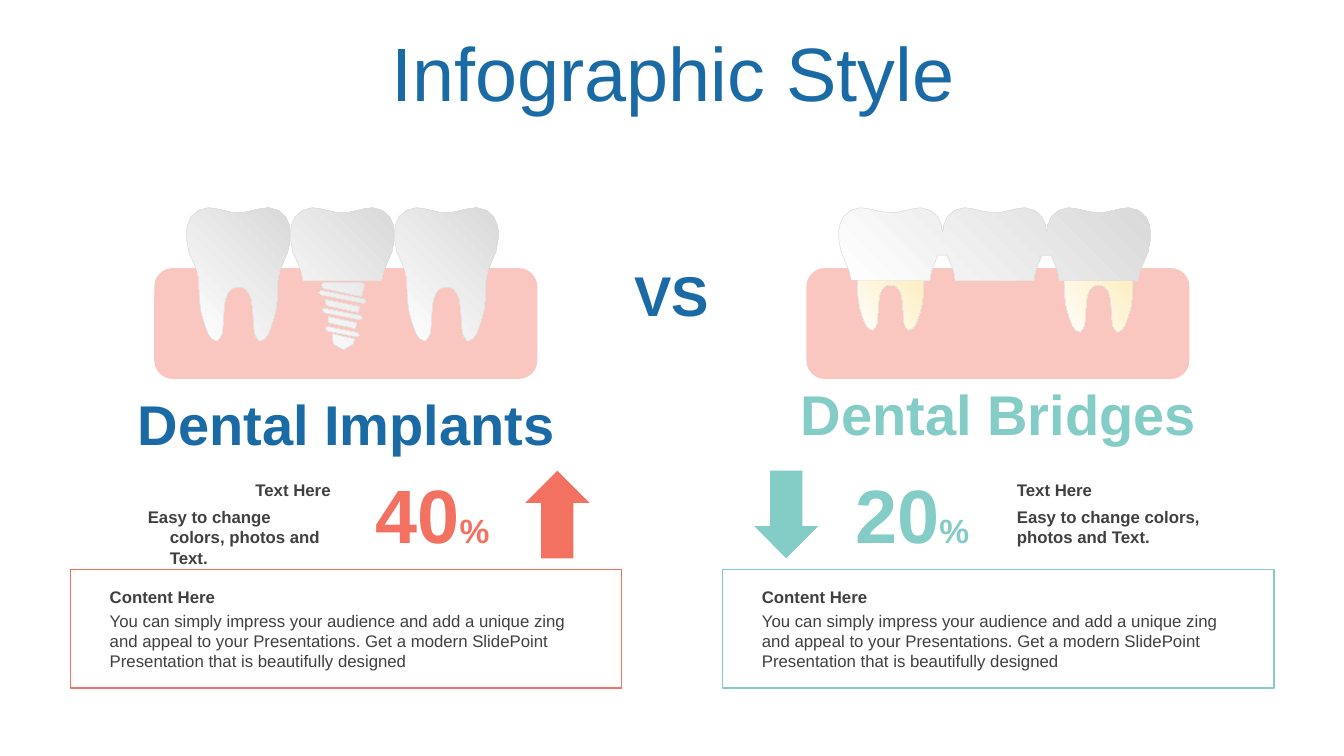
from dataclasses import dataclass

from lxml.etree import SubElement
from pptx import Presentation
from pptx.dml.color import RGBColor
from pptx.enum.shapes import MSO_SHAPE
from pptx.enum.text import MSO_ANCHOR, MSO_AUTO_SIZE, PP_ALIGN
from pptx.oxml.ns import qn
from pptx.util import Pt


@dataclass(frozen=True)
class Theme:
    font: str = "Arial"
    blue: str = "1A6BA5"
    coral: str = "F27161"
    teal: str = "84CCC6"
    ink: str = "404040"
    gum: str = "FAC6C0"
    white: str = "FFFFFF"
    enamel: str = "D9D9D9"
    dentine: str = "FBE59E"
    display: int = 54
    heading: int = 40
    unit: int = 24
    body: int = 12


THEME = Theme()
PANEL_OFFSET = 465.84
TOOTH_TOP = 148.4
TOOTH_CENTRES = [170.3 + 74.3 * n for n in range(3)]

# Right half of a tooth, from the top of its axis: cubic curves (x from axis, y from top)
CROWN_START = (0, 3.6)
ARCH = [
    ((3.6, 3.6), (6.5, 2.9), (9.4, 2.2)),
    ((13.7, 1.4), (17.3, 0), (21.6, 0)),
    ((26.6, 0.7), (31, 2.2), (33.8, 6.5)),
    ((36, 10.1), (36.7, 13.7), (37.1, 17.3)),
]
FLANK = [
    ((37.3, 21.6), (36.7, 25.2), (35.3, 31.7)),
    ((33.8, 36), (31, 40.3), (29.5, 45.4)),
]
ROOT = [
    ((28.1, 49.7), (28.1, 54), (28.1, 59)),
    ((28.1, 64.1), (27.4, 69.8), (26.6, 74.9)),
    ((25.2, 79.9), (23.8, 85), (21.6, 90)),
    ((20.2, 92.2), (18.7, 95.4), (15.1, 95.4)),
    ((13.7, 95.4), (12.2, 90.7), (11.5, 90)),
    ((10.8, 85.7), (10.8, 82.1), (10.6, 78.5)),
    ((10.1, 74.2), (10.1, 69.8), (9.4, 66.2)),
    ((8.6, 62.6), (7.2, 59.8), (4.3, 57.6)),
    ((2.9, 56.9), (1.4, 56.9), (0, 56.9)),
]
CROWN_FOOT = (28.1, 51.8)

# Implant screw: solid pieces, and threads as (half length, centre y)
SCREW_PIECES = [
    [(-13.7, 53.3), (14.4, 53.3), (15.8, 55), (13.7, 63.4), (-13.7, 57.6), (-15, 55)],
    [(-12.2, 65.5), (12.2, 70.6), (11.5, 74.9), (-11.5, 69.8)],
    [(-10.1, 77.8), (10.1, 82.1), (9.4, 86.4), (-10.1, 82.1)],
    [(-7.2, 90), (8.6, 93.6), (7.9, 97.2), (0.7, 101.5), (-6.5, 97.2)],
]
SCREW_THREADS = [(16.9, 63.7), (14.4, 76), (12.2, 88.6)]


def flatten(start, curves, steps=2):
    points = [start]
    for a, b, end in curves:
        origin = points[-1]
        for t in (n / steps for n in range(1, steps + 1)):
            weights = ((1 - t) ** 3, 3 * t * (1 - t) ** 2, 3 * t * t * (1 - t), t ** 3)
            points.append(tuple(sum(w * p[axis] for w, p in zip(weights, (origin, a, b, end)))
                                for axis in (0, 1)))
    return points


def mirror(half):
    return [(-x, y) for x, y in reversed(half) if x] + half


def thread(half_length, centre, slope=0.2, thickness=1.6, rounding=1.5):
    inner = half_length - rounding
    outline = [(-half_length, 0), (-inner, -thickness), (inner, -thickness),
               (half_length, 0), (inner, thickness), (-inner, thickness)]
    return [(x, centre + slope * x + rise) for x, rise in outline]


def bridge_outline():
    pitch = TOOTH_CENTRES[1] - TOOTH_CENTRES[0]
    arch = mirror(flatten(CROWN_START, ARCH))
    top = [(x + n * pitch, y) for n in (-1, 0, 1) for x, y in arch]
    flank = flatten(ARCH[-1][-1], FLANK)[1:] + [CROWN_FOOT]
    gap = [CROWN_FOOT, (29.2, 45.4), (33.8, 33.8)]
    gaps = [point for n in (1, 0)
            for point in [(n * pitch - x, y) for x, y in gap]
            + [((n - 1) * pitch + x, y) for x, y in reversed(gap)]]
    right = [(pitch + x, y) for x, y in flank]
    left = [(-pitch - x, y) for x, y in reversed(flank)]
    return top + right + gaps + left


class Board:
    def __init__(self, slide, theme):
        self.shapes, self.theme = slide.shapes, theme

    def text(self, box, runs, align=PP_ALIGN.LEFT, anchor=MSO_ANCHOR.TOP,
             grow=True, outline=None, hanging=None, spacing=None):
        """Each run is (wording, size, colour, bold)."""
        frame = self.shapes.add_textbox(*map(Pt, box)).text_frame
        settings = {"word_wrap": True, "vertical_anchor": anchor,
                    "auto_size": MSO_AUTO_SIZE.SHAPE_TO_FIT_TEXT if grow else MSO_AUTO_SIZE.NONE}
        for name, value in settings.items():
            setattr(frame, name, value)
        paragraph = frame.paragraphs[0]
        paragraph.alignment, paragraph.line_spacing = align, spacing
        if hanging:
            margin, first_line = hanging
            properties = paragraph._p.get_or_add_pPr()
            properties.set("marL", str(Pt(margin)))
            properties.set("indent", str(Pt(first_line)))
        for wording, size, colour, bold in runs:
            run = paragraph.add_run()
            run.text = wording
            for name, value in {"name": self.theme.font, "size": Pt(size), "bold": bold}.items():
                setattr(run.font, name, value)
            run.font.color.rgb = RGBColor.from_string(colour)
            if outline:
                properties = run._r.get_or_add_rPr()
                line = SubElement(properties, qn("a:ln"), w=str(Pt(1)))
                SubElement(SubElement(line, qn("a:solidFill")), qn("a:srgbClr"), val=outline)
                properties.insert(0, line)

    def preset(self, kind, box, fill=None, line=None, rotation=0):
        shape = self.shapes.add_shape(kind, *map(Pt, box))
        shape.shadow.inherit = False
        shape.rotation = rotation
        for part, colour in ((shape.fill, fill), (shape.line.fill, line)):
            if colour:
                part.solid()
                part.fore_color.rgb = RGBColor.from_string(colour)
            else:
                part.background()
        if line:
            shape.line.width = Pt(1)

    def dental(self, contours, centre, top=TOOTH_TOP, scale=1, tint=None):
        builder = None
        for contour in contours:
            points = [(Pt(centre + x * scale), Pt(top + y * scale)) for x, y in contour]
            if builder:
                builder.move_to(*points[0])
            else:
                builder = self.shapes.build_freeform(*points[0], scale=1.0)
            builder.add_line_segments(points[1:], close=True)
        shape = builder.convert_to_shape()
        shape.shadow.inherit = False
        shape.fill.gradient()
        shape.fill.gradient_angle = 45
        for stop, colour in zip(shape.fill.gradient_stops, (self.theme.white, tint or self.theme.enamel)):
            stop.color.rgb = RGBColor.from_string(colour)
        shape.line.color.rgb = RGBColor.from_string(self.theme.enamel)
        shape.line.width = Pt(0.32)

    def panel(self, offset, heading, heading_top, heading_colour, accent, percent,
              percent_left, arrow_left, rotation, note_left, note_width, note_align, hanging):
        t = self.theme
        # Percentage and arrow
        self.text((percent_left, 330.5, 102.2, 72.7),
                  [(percent, t.display, accent, True), ("%", t.unit, accent, True)],
                  PP_ALIGN.CENTER, outline=t.white)
        self.preset(MSO_SHAPE.DOWN_ARROW, (arrow_left, 336.2, 46, 62.6), accent, rotation=rotation)
        # Note beside the percentage
        self.text((note_left, 339.1, note_width, 21.8), [("Text Here", t.body, t.ink, True)],
                  note_align, MSO_ANCHOR.MIDDLE)
        self.text((note_left, 358.6, note_width, 36.3),
                  [("Easy to change colors, photos and Text.", t.body, t.ink, True)], hanging=hanging)
        # Framed content
        self.preset(MSO_SHAPE.RECTANGLE, (50.2 + offset, 406.6, 393.9, 84.8), line=accent)
        self.text((71.3 + offset, 432.7, 351.4, 50.9),
                  [("You can simply impress your audience and add a unique zing and appeal to your "
                    "Presentations. Get a modern SlidePoint Presentation that is beautifully designed",
                    t.body, t.ink, False)])
        self.text((71.3 + offset, 415.4, 351.4, 21.8), [("Content Here", t.body, t.ink, True)])
        self.text((65.5 + offset, heading_top, 363.6, 55.7),
                  [(heading, t.heading, heading_colour, True)], PP_ALIGN.CENTER, MSO_ANCHOR.MIDDLE)


def main():
    deck = Presentation()
    deck.slide_width, deck.slide_height = Pt(960), Pt(540)
    board = Board(deck.slides.add_slide(deck.slide_layouts[6]), THEME)

    # Title
    board.text((25.2, 26.6, 911.5, 56.9), [("Infographic Style", THEME.display, THEME.blue, False)],
               PP_ALIGN.CENTER, MSO_ANCHOR.MIDDLE, grow=False, spacing=0.9)

    # Gums
    for offset in (0, PANEL_OFFSET):
        board.preset(MSO_SHAPE.ROUNDED_RECTANGLE, (110.2 + offset, 191.5, 273.6, 79.2), THEME.gum)

    # Natural teeth around the implant
    left, middle, right = TOOTH_CENTRES
    tooth = mirror(flatten(CROWN_START, ARCH + FLANK + ROOT))
    crown = mirror(flatten(CROWN_START, ARCH + FLANK) + [CROWN_FOOT])
    board.dental([tooth], left)
    board.dental([crown] + SCREW_PIECES + [thread(*size) for size in SCREW_THREADS], middle)
    board.dental([tooth], right)

    # Bridge over two trimmed teeth
    for centre, top, scale in ((left, 155.9, 0.84), (right, 154.4, 0.87)):
        board.dental([tooth], centre + PANEL_OFFSET, top, scale, THEME.dentine)
    board.dental([bridge_outline()], middle + PANEL_OFFSET)

    # Comparison panels
    board.panel(0, "Dental Implants", 274.3, THEME.blue, THEME.coral, "40", 257.8, 375.1, 180,
                91.4, 151.9, PP_ALIGN.RIGHT, (22.8, -15.7))
    board.panel(PANEL_OFFSET, "Dental Bridges", 267.1, THEME.teal, THEME.teal, "20", 600.5, 538.6, 0,
                719.3, 149, PP_ALIGN.LEFT, None)
    board.text((429.8, 182.2, 100.1, 55.7), [("VS", THEME.heading, THEME.blue, True)],
               PP_ALIGN.CENTER, MSO_ANCHOR.MIDDLE)

    deck.save("out.pptx")


if __name__ == "__main__":
    main()
